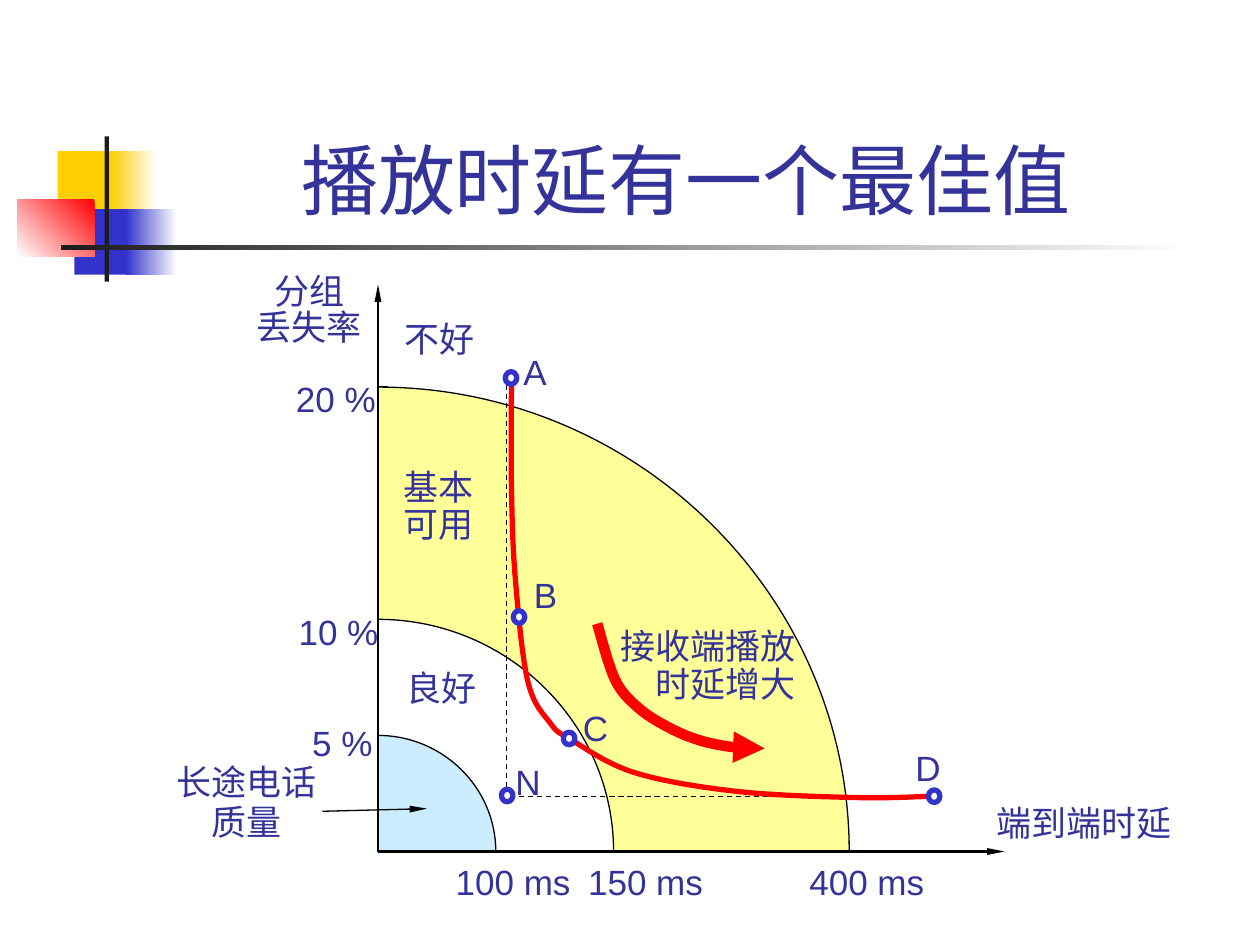
from dataclasses import dataclass

from lxml import etree
from pptx import Presentation
from pptx.dml.color import RGBColor
from pptx.enum.dml import MSO_LINE
from pptx.enum.shapes import MSO_CONNECTOR, MSO_SHAPE
from pptx.enum.text import MSO_ANCHOR, MSO_AUTO_SIZE, PP_ALIGN
from pptx.oxml.ns import qn
from pptx.util import Pt

RECT, OVAL = MSO_SHAPE.RECTANGLE, MSO_SHAPE.OVAL
STRAIGHT = MSO_CONNECTOR.STRAIGHT
LEFT, CENTER, RIGHT = PP_ALIGN.LEFT, PP_ALIGN.CENTER, PP_ALIGN.RIGHT
ARC = 0.55  # control distance of a quarter ellipse


@dataclass(frozen=True)
class Theme:
    font: str = "Arial"
    title_size: int = 44
    label_size: int = 20
    text: str = "333399"
    ink: str = "000000"
    dark: str = "1C1C1C"
    white: str = "FFFFFF"
    gold: str = "FFCF01"
    blue: str = "3333CC"
    red: str = "FF0000"
    usable: str = "FFFF99"
    toll: str = "CCECFF"


THEME = Theme()


def rgb(value):
    return RGBColor.from_string(value)


def set_font(paragraph, size):
    paragraph.font.name = THEME.font
    paragraph.font.size = Pt(size)
    paragraph.font.color.rgb = rgb(THEME.text)


def set_line(line, color, width, **head):
    line.color.rgb = rgb(color)
    line.width = Pt(width)
    if head:
        etree.SubElement(line._get_or_add_ln(), qn("a:tailEnd"), **head)


def add_block(slide, left, top, width, height, colors, angle=0):
    """Borderless rectangle, plain for one colour and graded for two."""
    block = slide.shapes.add_shape(RECT, Pt(left), Pt(top), Pt(width), Pt(height))
    block.shadow.inherit = False
    block.line.fill.background()
    if len(colors) == 1:
        block.fill.solid()
        block.fill.fore_color.rgb = rgb(colors[0])
        return
    block.fill.gradient()
    block.fill.gradient_angle = angle
    for stop, color in zip(block.fill.gradient_stops, colors):
        stop.color.rgb = rgb(color)


def add_label(slide, left, top, width, height, lines, align=LEFT, spacing=1.0):
    label = slide.shapes.add_textbox(Pt(left), Pt(top), Pt(width), Pt(height))
    frame = label.text_frame
    frame.word_wrap = False
    frame.auto_size = MSO_AUTO_SIZE.SHAPE_TO_FIT_TEXT
    frame.text = "\n".join(lines)
    for paragraph in frame.paragraphs:
        paragraph.alignment = align
        paragraph.line_spacing = spacing
        set_font(paragraph, THEME.label_size)


def add_segment(slide, start, end, width, **head):
    segment = slide.shapes.add_connector(STRAIGHT, *map(Pt, (*start, *end)))
    set_line(segment.line, THEME.ink, width, **head)
    etree.SubElement(segment._element.spPr, qn("a:effectLst"))


def add_outline(slide, points, color, width, fill=None, curves=0, **head):
    """Outline whose first segments are cubic curves; closed when it has a fill."""
    corners = [(Pt(x), Pt(y)) for x, y in points]
    builder = slide.shapes.build_freeform(*corners[0])
    builder.add_line_segments(corners[1:], close=fill is not None)
    outline = builder.convert_to_shape()
    sides = list(outline._element.iter(qn("a:lnTo")))
    for i in range(0, 3 * curves, 3):
        curve = etree.Element(qn("a:cubicBezTo"))
        sides[i].addprevious(curve)
        for side in sides[i:i + 3]:
            curve.append(side[0])
            side.getparent().remove(side)
    outline.shadow.inherit = False
    if fill:
        outline.fill.solid()
        outline.fill.fore_color.rgb = rgb(fill)
    else:
        outline.fill.background()
    set_line(outline.line, color, width, **head)
    return outline


def add_curve(slide, knots, color, width, **head):
    """Smooth curve through the knots."""
    padded = [knots[0], *knots, knots[-1]]
    points = [knots[0]]
    for a, b, c, d in zip(padded, padded[1:], padded[2:], padded[3:]):
        points += [tuple(q + (r - p) / 6 for p, q, r in zip(a, b, c)),
                   tuple(r - (s - q) / 6 for q, r, s in zip(b, c, d)), c]
    add_outline(slide, points, color, width, curves=len(knots) - 1, **head)


def draw_ornament(slide, left, top):
    t = THEME
    for x, y, width, height, colors, angle in (
        (23, 8.4, 34.5, 37.4, (t.gold,), 0),
        (53.4, 8.4, 26, 37.4, (t.white, t.gold), 180),
        (32.5, 41.5, 33, 37.4, (t.blue,), 0),
        (62, 41.5, 29, 37.4, (t.white, t.blue), 180),
        (0, 35.8, 44, 33, (t.red, t.white), 225),
        (49.8, 0, 2.4, 83, (t.dark,), 0),
        (24.6, 62.2, 648, 2.4, (t.white, t.dark), 180),
    ):
        add_block(slide, left + x, top + y, width, height, colors, angle)


def draw_title(slide, left, top, width, height):
    title = slide.shapes.title
    title.left, title.top, title.width, title.height = map(Pt, (left, top, width, height))
    title.text_frame.text = "播放时延有一个最佳值"
    title.text_frame.vertical_anchor = MSO_ANCHOR.BOTTOM
    paragraph = title.text_frame.paragraphs[0]
    paragraph.alignment = CENTER
    set_font(paragraph, THEME.title_size)


def draw_plot(slide, left, top, width, height):
    def place(points):
        return [(left + x, top + y) for x, y in points]

    # Axis ticks
    for x in (67.2, 134.6, 269.3):
        add_segment(slide, *place([(x, height - 5.8), (x, height)]), 0.75)
    for y in (257.8, 190.8, 58.3):
        add_segment(slide, *place([(5.8, y), (0, y)]), 0.75)

    # Quality zones: each quarter ellipse is half the size of the one before
    origin = (0, height)
    for ratio, fill in ((1, THEME.usable), (2, THEME.white), (4, THEME.toll)):
        rx, ry = 269.3 / ratio, 265.4 / ratio
        zone = [(0, height - ry), (ARC * rx, height - ry), (rx, height - ARC * ry),
                (rx, height), origin]
        add_outline(slide, place(zone), THEME.ink, 0.75, fill, curves=1)

    # Axes and pointer to the innermost zone
    for start, end, weight in ((origin, (0, 0), 1.5), (origin, (width, height), 1.5),
                               ((-31.7, 301), (28, 299.5), 0.75)):
        add_segment(slide, *place([start, end]), weight, type="triangle", w="sm", len="lg")

    # Limits, delay-loss curve and direction of growing delay
    limits = add_outline(slide, place([(73.4, 52), (73.4, 292.4), (316.8, 292.4)]),
                         THEME.ink, 0.75)
    limits.line.dash_style = MSO_LINE.DASH
    tradeoff = [(76.3, 55.5), (76.3, 115.3), (78.5, 168), (85.7, 227), (98.6, 250.8),
                (110.2, 260), (146.2, 278.8), (204.5, 289.6), (273.6, 293.2), (317.5, 292.4)]
    add_curve(slide, place(tradeoff), THEME.red, 3)
    growth = [(125.3, 193.8), (135.4, 225.5), (148.3, 241.4), (165.6, 252.8),
              (185, 260.8), (208.8, 265.1), (221, 265.1)]
    add_curve(slide, place(growth), THEME.red, 6, type="triangle")

    # Marked points: dot centre, then label corner
    for name, x, y, label_x, label_y in (
        ("A", 76, 53.4, 76, 34), ("B", 80.6, 190, 82, 161.3), ("C", 109.2, 259.4, 110, 237.6),
        ("D", 317.8, 292.4, 300, 260.5), ("N", 73.8, 292, 71.4, 268.6),
    ):
        dot = slide.shapes.add_shape(OVAL, Pt(left + x - 3.3), Pt(top + y - 3.6), Pt(6.6), Pt(7.2))
        dot.shadow.inherit = False
        dot.fill.solid()
        dot.fill.fore_color.rgb = rgb(THEME.white)
        set_line(dot.line, THEME.blue, 3)
        add_label(slide, left + label_x, top + label_y, 28, 32, [name])

    # Axis values, axis names and zone names
    for x, y, box_width, text in (
        (-54, 49.5, 60, "20 %"), (-52.5, 182.5, 60, "10 %"), (-44.7, 246.4, 49, "5 %"),
        (37.3, 325.5, 80, "100 ms"), (113, 325.5, 80, "150 ms"), (239.4, 325.5, 80, "400 ms"),
        (346.5, 291.7, 116, "端到端时延"), (8.3, 15.5, 56, "不好"), (9, 214.5, 56, "良好"),
    ):
        add_label(slide, left + x, top + y, box_width, 32, [text])
    for x, y, box_width, box_height, lines, align, spacing in (
        (-77.4, -8.6, 76, 48, ["分组", "丢失率"], CENTER, 0.85),
        (7.6, 102.4, 56, 50, ["基本", "可用"], LEFT, 0.9),
        (-123, 270.4, 96, 53, ["长途电话", "质量"], CENTER, 0.95),
        (130, 193.4, 116, 50, ["接收端播放", "时延增大"], RIGHT, 0.9),
    ):
        add_label(slide, left + x, top + y, box_width, box_height, lines, align, spacing)


def main():
    deck = Presentation()
    deck.slide_width, deck.slide_height = Pt(720), Pt(540)
    slide = deck.slides.add_slide(deck.slide_layouts[5])
    draw_ornament(slide, 10, 78)
    draw_title(slide, 90.7, 16.6, 603, 115.6)
    draw_plot(slide, 216, 162.6, 358, 324)
    deck.save("out.pptx")


if __name__ == "__main__":
    main()
